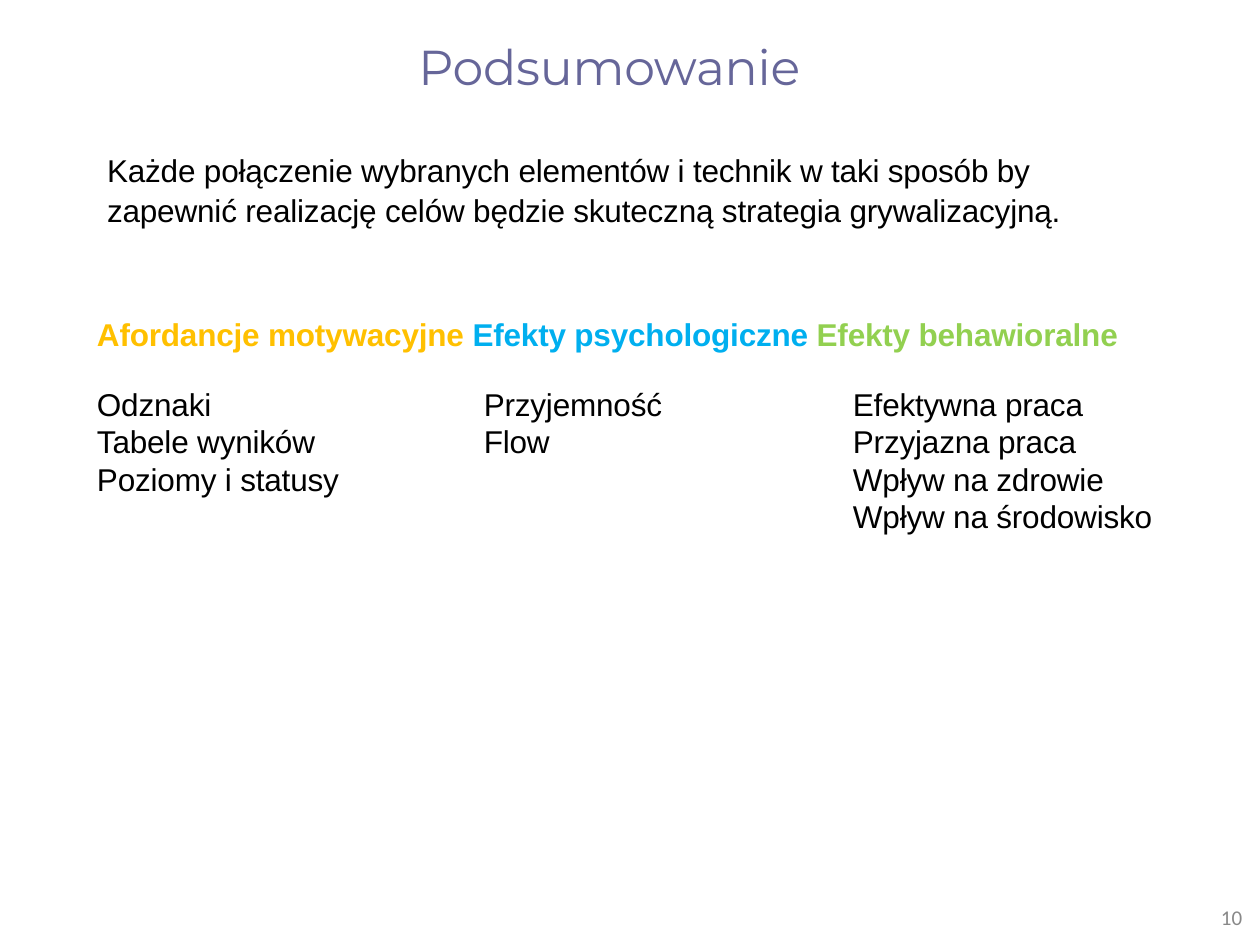
from dataclasses import dataclass

from pptx import Presentation
from pptx.dml.color import RGBColor
from pptx.util import Inches, Pt


@dataclass(frozen=True)
class Theme:
    title_font: str = "Montserrat"
    body_font: str = "Arial"
    number_font: str = "Calibri"
    title_size: float = 28
    body_size: float = 18
    number_size: float = 12
    title_color: str = "666699"
    text_color: str = "000000"
    number_color: str = "888888"
    motivation_color: str = "FFC000"
    psychology_color: str = "00AFEF"
    behavior_color: str = "92D050"


theme = Theme()
presentation = Presentation()
presentation.slide_width = Inches(10)
presentation.slide_height = Inches(7.5)
slide = presentation.slides.add_slide(presentation.slide_layouts[6])


def add_text_frame(left, top, width, height, top_inset=0):
    """Add a wrapping text box without side insets; lengths are in inches."""
    box = slide.shapes.add_textbox(Inches(left), Inches(top), Inches(width), Inches(height))
    frame = box.text_frame
    frame.word_wrap = True
    frame.margin_left = frame.margin_right = frame.margin_bottom = 0
    frame.margin_top = Inches(top_inset)
    return frame


def style_runs(paragraph, font, size, color, bold=False, tracking=-0.1):
    """Format every run; tracking is the letter spacing in points."""
    for run in paragraph.runs:
        run.font.name = font
        run.font.size = Pt(size)
        run.font.bold = bold
        run.font.color.rgb = RGBColor.from_string(color)
        run.font._element.set("spc", str(round(tracking * 100)))


# Title and slide number
title = add_text_frame(3.32, 0.27, 3.3, 0.49, top_inset=0.02)
title.text = "Podsumowanie"
style_runs(title.paragraphs[0], theme.title_font, theme.title_size, theme.title_color)

number = add_text_frame(9.69, 7.21, 0.2, 0.19)
number.text = "10"
number.paragraphs[0].line_spacing = Pt(12.4)
style_runs(number.paragraphs[0], theme.number_font, theme.number_size,
           theme.number_color, tracking=0)

# Summary sentence
summary = add_text_frame(0.85, 1.18, 8.13, 0.6, top_inset=0.02)
summary.text = (
    "Każde połączenie wybranych elementów i technik w taki sposób by\n"
    "zapewnić realizację celów będzie skuteczną strategia grywalizacyjną."
)
for paragraph in summary.paragraphs:
    style_runs(paragraph, theme.body_font, theme.body_size, theme.text_color)
summary.paragraphs[1].space_before = Pt(1)

# Headings of the three groups, set in one line
headings = add_text_frame(0.77, 2.5, 8.4, 0.3)
heading_line = headings.paragraphs[0]
for text, color in (
    ("Afordancje motywacyjne ", theme.motivation_color),
    ("Efekty psychologiczne ", theme.psychology_color),
    ("Efekty behawioralne", theme.behavior_color),
):
    run = heading_line.add_run()
    run.text = text
style_runs(heading_line, theme.body_font, theme.body_size, theme.text_color, bold=True)
for run, color in zip(heading_line.runs,
                      (theme.motivation_color, theme.psychology_color, theme.behavior_color)):
    run.font.color.rgb = RGBColor.from_string(color)

# Table of examples: one column per group
columns = [
    (2.54, 0.04, ["Odznaki", "Tabele wyników", "Poziomy i statusy"]),
    (2.74, 0.57, ["Przyjemność", "Flow"]),
    (3.18, 0.76, ["Efektywna praca", "Przyjazna praca", "Wpływ na zdrowie",
                  "Wpływ na środowisko"]),
]
rows = [(0.29, 19.9), (0.3, 20.6), (0.3, 20.6), (0.29, 19.9)]

table = slide.shapes.add_table(
    len(rows), len(columns), Inches(0.73), Inches(3.08),
    Inches(sum(column[0] for column in columns)), Inches(sum(row[0] for row in rows)),
).table
table.first_row = table.horz_banding = False

for row_index, (height, line_spacing) in enumerate(rows):
    table.rows[row_index].height = Inches(height)
    for column_index, (width, indent, entries) in enumerate(columns):
        table.columns[column_index].width = Inches(width)
        cell = table.cell(row_index, column_index)
        cell.fill.background()
        cell.margin_top = cell.margin_bottom = cell.margin_right = 0
        cell.margin_left = Inches(indent)
        if row_index < len(entries):
            cell.text = entries[row_index]
        paragraph = cell.text_frame.paragraphs[0]
        paragraph.line_spacing = Pt(line_spacing)
        style_runs(paragraph, theme.body_font, theme.body_size, theme.text_color)

# The default table style draws grid lines; this one has none
table._tbl.tblPr.find("{*}tableStyleId").text = "{2D5ABB26-0587-4C30-8999-92F81FD0307C}"

presentation.save("out.pptx")
